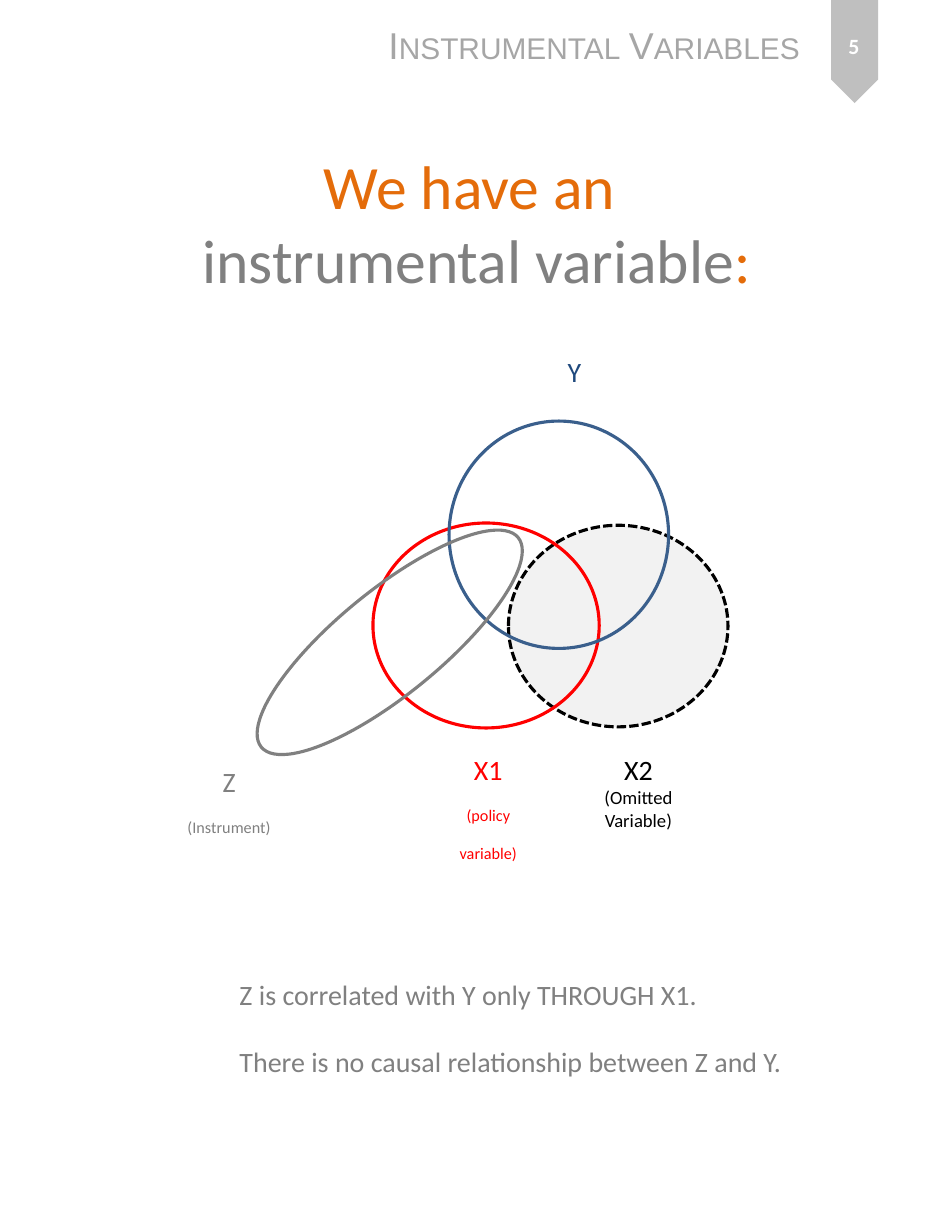
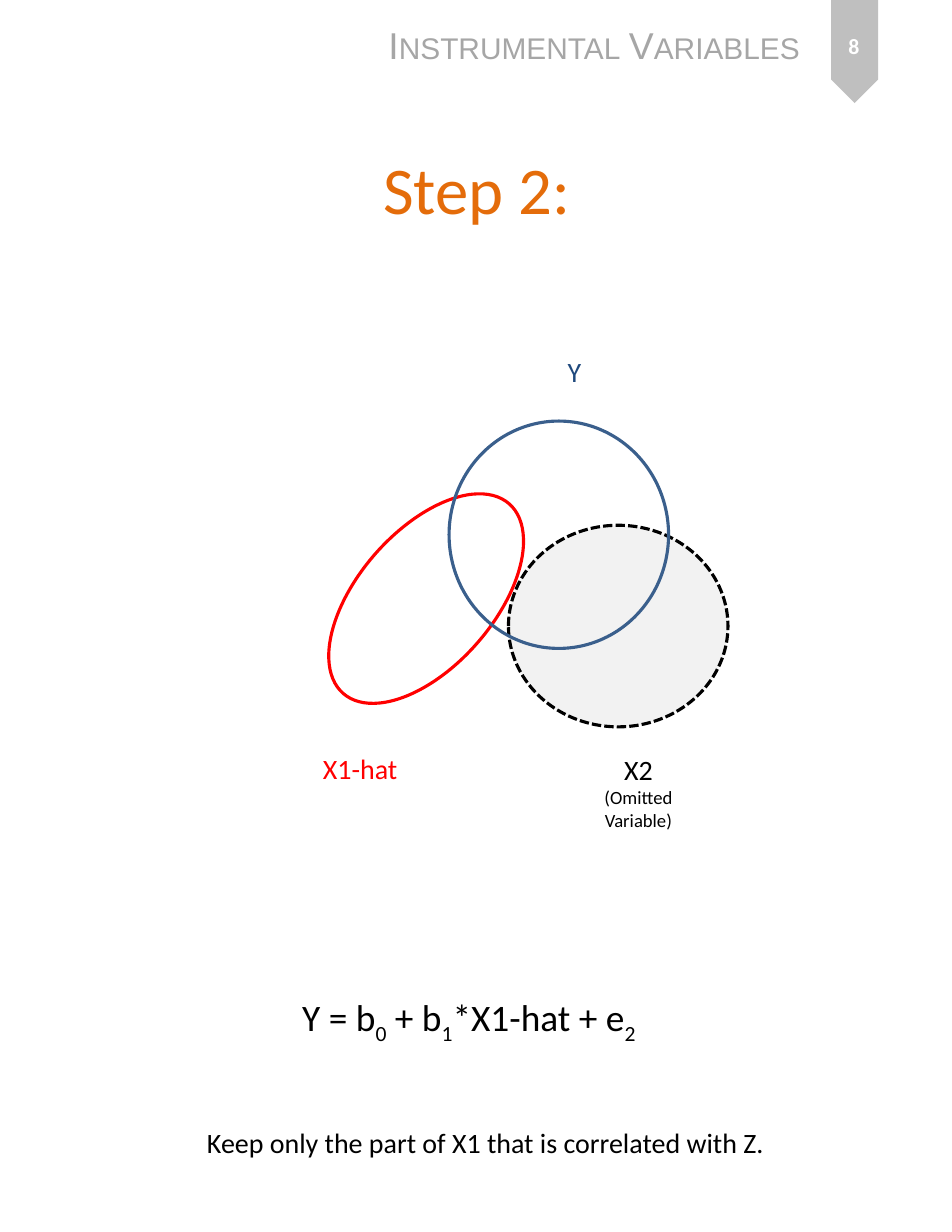
from copy import deepcopy
from dataclasses import dataclass

from pptx import Presentation
from pptx.dml.color import RGBColor
from pptx.enum.dml import MSO_LINE
from pptx.enum.shapes import MSO_SHAPE
from pptx.enum.text import MSO_ANCHOR, MSO_AUTO_SIZE, PP_ALIGN
from pptx.util import Inches, Pt

WHITE = RGBColor(0xFF, 0xFF, 0xFF)
BLACK = RGBColor(0x00, 0x00, 0x00)
ORANGE = RGBColor(0xE4, 0x6C, 0x0A)
GRAY = RGBColor(0x80, 0x80, 0x80)
HEADER_GRAY = RGBColor(0xA6, 0xA6, 0xA6)
RIBBON_GRAY = RGBColor(0xBF, 0xBF, 0xBF)
PALE_GRAY = RGBColor(0xF2, 0xF2, 0xF2)
RED = RGBColor(0xFF, 0x00, 0x00)
BLUE = RGBColor(0x3A, 0x5F, 0x8C)
NAVY = RGBColor(0x1F, 0x49, 0x7D)

BODY_FONT = "Calibri"
HEADER_FONT = "Arial"
SUBSCRIPT = "-25000"


@dataclass
class Span:
    """A stretch of text in one format; a leading \\v starts a new line."""
    text: str
    color: RGBColor
    size: float = 18
    font: str = BODY_FONT
    bold: bool = False
    baseline: str = ""
    caps: str = ""


@dataclass
class Box:
    """A rectangle in inches."""
    left: float
    top: float
    width: float
    height: float

    def inside(self, left, top, width, height):
        """Return a box placed relative to this one."""
        return Box(self.left + left, self.top + top, width, height)

    def lengths(self):
        """Return the four values as slide lengths."""
        return [Inches(v) for v in (self.left, self.top, self.width, self.height)]


DIAGRAM = Box(1.4, 3.1, 5.1, 4.4)


def write_span(para, span):
    """Append one formatted span to a paragraph."""
    if span.text.startswith("\v"):
        previous = para.runs[-1].font
        para.add_line_break()
        para._p[-1].append(deepcopy(para.runs[-1]._r.get_or_add_rPr()))
        previous.italic = None
    run = para.add_run()
    run.text = span.text.lstrip("\v")
    font = run.font
    font.name, font.size, font.bold = span.font, Pt(span.size), span.bold
    font.color.rgb = span.color
    for name, value in (("baseline", span.baseline), ("cap", span.caps)):
        if value:
            run._r.get_or_add_rPr().set(name, value)


def add_text(page, box, lines, align=PP_ALIGN.LEFT, wrap=True, grow=True, gap=0):
    """Add a text box whose lines are lists of spans, one list a paragraph."""
    shape = page.shapes.add_textbox(*box.lengths())
    frame = shape.text_frame
    frame.word_wrap = wrap
    frame.auto_size = MSO_AUTO_SIZE.SHAPE_TO_FIT_TEXT if grow else MSO_AUTO_SIZE.NONE
    for index, spans in enumerate(lines):
        para = frame.add_paragraph() if index else frame.paragraphs[0]
        para.alignment = align
        if index and gap:
            para.space_before = Pt(gap)
        for span in spans:
            write_span(para, span)
    return shape


def add_label(page, box, *lines):
    """Add a centred label of a set."""
    return add_text(page, box, lines, PP_ALIGN.CENTER)


def add_set(page, box, color, rotation=0):
    """Add the outlined ellipse of one variable."""
    ellipse = page.shapes.add_shape(MSO_SHAPE.OVAL, *box.lengths())
    ellipse.shadow.inherit = False
    ellipse.rotation = rotation
    ellipse.fill.background()
    ellipse.line.color.rgb = color
    ellipse.line.width = Pt(2)
    return ellipse


def build_header(layout, page):
    """Draw the running header and ribbon and hand them to the layout."""
    for holder in list(layout.placeholders)[1:]:
        layout.shapes.element.remove(holder.element)
    ribbon = page.shapes.add_shape(
        MSO_SHAPE.PENTAGON, *Box(7.17, 0.25, 0.92, 0.42).lengths())
    ribbon.shadow.inherit = False
    ribbon.rotation = 90
    ribbon.fill.solid()
    ribbon.fill.fore_color.rgb = RIBBON_GRAY
    ribbon.line.fill.background()
    header = add_text(page, Box(3.37, 0.15, 3.89, 0.5), [[Span(
        "Instrumental Variables", HEADER_GRAY, 24, HEADER_FONT, caps="small")]], wrap=False)
    for shape in (ribbon, header):
        layout.shapes.element.append(shape.element)


def fill_heading(page, number, spans):
    """Write the page number and the title."""
    badge = add_text(page, Box(7.29, 0.11, 0.67, 0.59),
                     [[Span(number, WHITE, 14, bold=True)]], PP_ALIGN.CENTER, grow=False)
    badge.text_frame.vertical_anchor = MSO_ANCHOR.MIDDLE
    title = page.shapes.title
    title.left, title.top, title.width, title.height = Box(0.43, 1.27, 7.65, 1.83).lengths()
    frame = title.text_frame
    frame.word_wrap = True
    frame.auto_size = MSO_AUTO_SIZE.NONE
    frame.vertical_anchor = MSO_ANCHOR.TOP
    para = frame.paragraphs[0]
    para.alignment = PP_ALIGN.CENTER
    for span in spans:
        write_span(para, span)


def draw_omitted(page, box):
    """Draw the omitted variable X2 with its label."""
    omitted = add_set(page, box.inside(3.14, 1.59, 1.96, 1.8), BLACK)
    omitted.fill.solid()
    omitted.fill.fore_color.rgb = PALE_GRAY
    omitted.line.dash_style = MSO_LINE.SQUARE_DOT
    add_label(page, box.inside(3.59, 3.57, 1.42, 0.81),
              [Span("X2", BLACK), Span("\v(Omitted Variable)", BLACK, 12)])


def draw_outcome(page, box):
    """Draw the outcome Y with its label."""
    add_set(page, box.inside(2.61, 0.66, 1.96, 2.03), BLUE)
    add_text(page, box.inside(3.57, 0.02, 0.48, 0.4), [[Span("Y", NAVY)]])


def draw_instrument_diagram(page, box):
    """Draw the sets Y, X1 and X2 with the instrument Z."""
    draw_omitted(page, box)
    add_set(page, box.inside(1.93, 1.57, 2.02, 1.83), RED)
    add_label(page, box.inside(2.55, 3.57, 0.82, 0.81), [Span("X1", RED)],
              [Span("(policy variable)", RED, baseline=SUBSCRIPT)])
    draw_outcome(page, box)
    add_set(page, box.inside(0.6, 2.17, 2.96, 0.93), GRAY, 320.8)
    add_label(page, box.inside(0.02, 3.68, 1.25, 0.61), [Span("Z", GRAY)],
              [Span("(Instrument)", GRAY, baseline=SUBSCRIPT)])


def draw_fitted_diagram(page, box):
    """Draw the sets Y and X2 with the fitted part of X1."""
    draw_omitted(page, box)
    add_set(page, box.inside(1.8, 1.12, 1.21, 2.25), RED, 41.2)
    add_label(page, box.inside(1.22, 3.56, 1.19, 0.4), [Span("X1-hat", RED)])
    draw_outcome(page, box)


def build_instrument_page(page):
    """Fill the page that introduces the instrument."""
    fill_heading(page, "5", [
        Span("We have an ", ORANGE, 39.6),
        Span("\vinstrumental variable", GRAY, 39.6),
        Span(":", ORANGE, 39.6)])
    draw_instrument_diagram(page, DIAGRAM)
    add_text(page, Box(2.04, 8.68, 5.07, 1.01), [
        [Span("Z is correlated with Y only THROUGH X1.", GRAY)],
        [Span("There is no causal relationship between Z and Y.", GRAY)],
    ], wrap=False, gap=21.6)


def build_step_page(page):
    """Fill the page of the second estimation step."""
    fill_heading(page, "8", [Span("Step 2:", ORANGE, 42.9)])
    draw_fitted_diagram(page, DIAGRAM)
    equation = []
    for term, index in (("Y = b", "0"), (" + b", "1"), ("*X1-hat + e", "2")):
        equation += [Span(term, BLACK, 24), Span(index, BLACK, 24, baseline=SUBSCRIPT)]
    add_text(page, Box(2.6, 8.83, 3.25, 0.5), [equation], wrap=False)
    add_text(page, Box(1.75, 10, 5.37, 0.4), [
        [Span("Keep only the part of X1 that is correlated with Z.", BLACK)]], wrap=False)


def main():
    """Build and save the deck."""
    deck = Presentation()
    deck.slide_width, deck.slide_height = Inches(8.5), Inches(11)
    layout = deck.slide_layouts[5]
    pages = [deck.slides.add_slide(layout) for _ in range(2)]
    build_header(layout, pages[0])
    build_instrument_page(pages[0])
    build_step_page(pages[1])
    deck.save("out.pptx")


if __name__ == "__main__":
    main()
